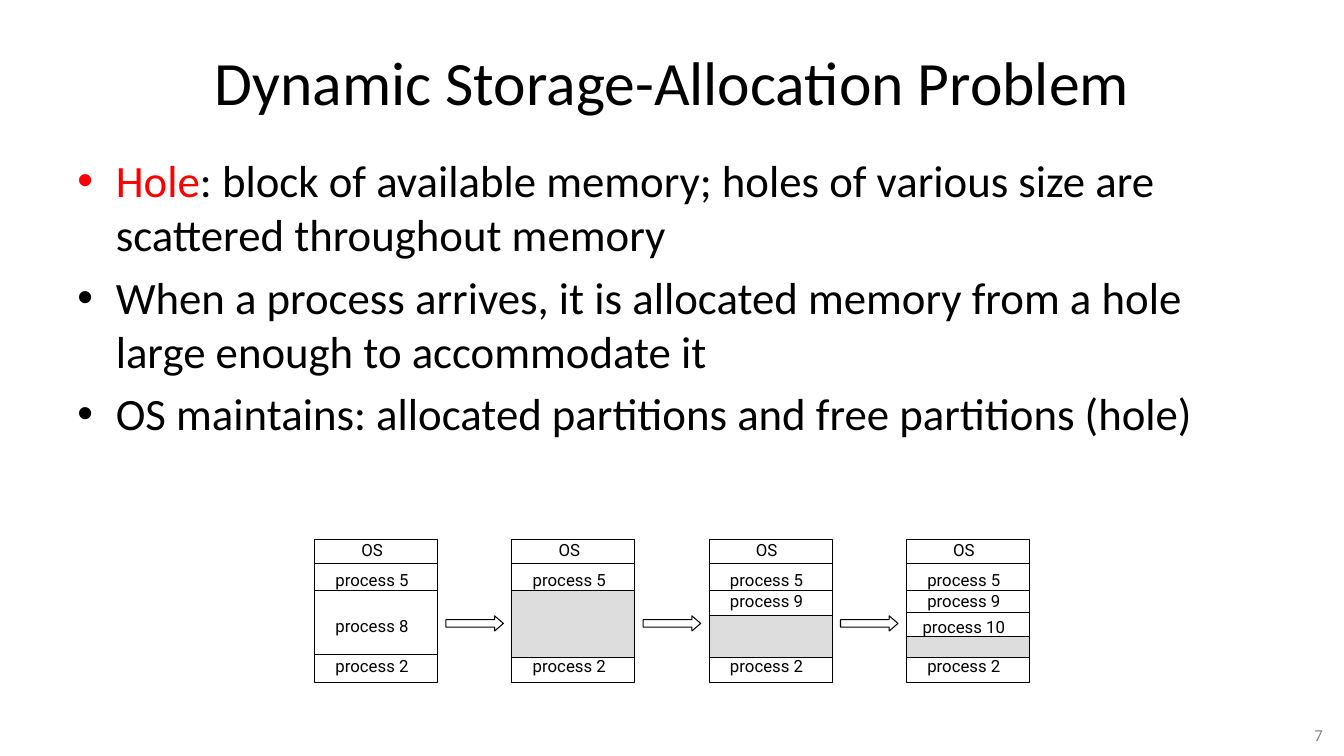
from dataclasses import dataclass

from lxml import etree
from pptx import Presentation
from pptx import util as u
from pptx.dml.color import RGBColor
from pptx.enum import shapes, text
from pptx.oxml import ns


@dataclass(frozen=True)
class Theme:
    ink: str = "000000"
    accent: str = "FF0000"
    muted: str = "898989"
    paper: str = "FFFFFF"
    hole: str = "DDDDDD"
    main_font: str = "Calibri"
    label_font: str = "Roboto"
    title_size: int = 44
    body_size: int = 32
    small_size: int = 12
    line_width: float = 0.75


THEME = Theme()

BULLETS = [
    [("Hole", THEME.accent),
     (": block of available memory; holes of various size are scattered throughout memory", THEME.ink)],
    [("When a process arrives, it is allocated memory from a hole large enough to accommodate it", THEME.ink)],
    [("OS maintains: allocated partitions and free partitions (hole)", THEME.ink)],
]

# Offsets from the top of a memory column
COLUMN_HEIGHT = 1.42
DIVIDERS = [0.24, 0.51, 1.14]
HOLE_BOTTOM = 1.17
COMMON_LABELS = [("OS", 0.1), ("process 5", 0.4), ("process 2", 1.25)]
MEMORY_STATES = [
    {"labels": [("process 8", 0.86)]},
    {"hole_top": 0.51},
    {"labels": [("process 9", 0.61)], "hole_top": 0.76},
    {"labels": [("process 9", 0.61), ("process 10", 0.87)],
     "dividers": [0.73], "hole_top": 0.96},
]


def set_values(target, values):
    for name, value in values.items():
        setattr(target, name, value)


def add_text(slide, box, paragraphs, size, font=THEME.main_font,
             align=text.PP_ALIGN.LEFT, anchor=text.MSO_ANCHOR.MIDDLE, frame_values=None):
    """Place paragraphs, each a list of (wording, colour) runs."""
    shape = slide.shapes.add_textbox(*map(u.Inches, box))
    frame = shape.text_frame
    set_values(frame, {"word_wrap": True, "vertical_anchor": anchor, **(frame_values or {})})
    for index, runs in enumerate(paragraphs):
        paragraph = frame.add_paragraph() if index else frame.paragraphs[0]
        paragraph.alignment = align
        for wording, colour in runs:
            run = paragraph.add_run()
            run.text = wording
            set_values(run.font, {"size": u.Pt(size), "name": font})
            run.font.color.rgb = RGBColor.from_string(colour)
    return frame


def add_block(slide, kind, box, colour):
    shape = slide.shapes.add_shape(kind, *map(u.Inches, box))
    shape.shadow.inherit = False
    shape.fill.solid()
    shape.fill.fore_color.rgb = RGBColor.from_string(colour)
    shape.line.color.rgb = RGBColor.from_string(THEME.ink)
    shape.line.width = u.Pt(THEME.line_width)
    return shape


def add_divider(slide, left, top, width):
    line = slide.shapes.add_connector(
        shapes.MSO_CONNECTOR.STRAIGHT, *map(u.Inches, (left, top, left + width, top)))
    line.line.color.rgb = RGBColor.from_string(THEME.ink)
    line.line.width = u.Pt(THEME.line_width)
    etree.SubElement(line._element.spPr, ns.qn("a:effectLst"))


def add_title(slide, box):
    add_text(slide, box, [[("Dynamic Storage-Allocation Problem", THEME.ink)]],
             THEME.title_size, align=text.PP_ALIGN.CENTER)


def add_bullets(slide, box):
    frame = add_text(slide, box, BULLETS, THEME.body_size, anchor=text.MSO_ANCHOR.TOP)
    indent = u.Inches(0.38)
    for index, paragraph in enumerate(frame.paragraphs):
        paragraph.space_before = u.Pt(0.2 * THEME.body_size if index else 0)
        properties = paragraph._p.get_or_add_pPr()
        properties.set("marL", str(indent))
        properties.set("indent", str(-indent))
        etree.SubElement(properties, ns.qn("a:buFont"), typeface="Arial")
        etree.SubElement(properties, ns.qn("a:buChar"), char="•")


def add_memory_column(slide, box, state):
    left, top, width, height = box
    add_block(slide, shapes.MSO_SHAPE.RECTANGLE, box, THEME.paper)
    for offset in DIVIDERS + state.get("dividers", []):
        add_divider(slide, left, top + offset, width)
    if "hole_top" in state:
        hole_top = state["hole_top"]
        add_block(slide, shapes.MSO_SHAPE.RECTANGLE,
                  (left, top + hole_top, width, HOLE_BOTTOM - hole_top), THEME.hole)
    # Labels are centred on their offsets, slightly left of the column's middle
    label_height = 0.25
    for wording, offset in COMMON_LABELS + state.get("labels", []):
        add_text(slide, (left, top + offset - label_height / 2, width - 0.08, label_height),
                 [[(wording, THEME.ink)]], THEME.small_size, THEME.label_font,
                 text.PP_ALIGN.CENTER, frame_values={"margin_top": 0, "margin_bottom": 0})


def add_memory_sequence(slide, box):
    left, top, width, height = box
    column_width, arrow_width, arrow_height = 1.22, 0.57, 0.15
    pitch = (width - column_width) / (len(MEMORY_STATES) - 1)
    for index, state in enumerate(MEMORY_STATES):
        column_left = left + index * pitch
        add_memory_column(slide, (column_left, top, column_width, height), state)
        if index:
            gap = pitch - column_width
            arrow_left = column_left - (gap + arrow_width) / 2
            arrow = add_block(slide, shapes.MSO_SHAPE.RIGHT_ARROW,
                              (arrow_left, top + 0.76, arrow_width, arrow_height), THEME.paper)
            arrow.adjustments[0] = 0.5
            arrow.adjustments[1] = 0.58


def add_page_number(slide, box):
    add_text(slide, box, [[("7", THEME.muted)]], THEME.small_size, align=text.PP_ALIGN.RIGHT)


def main():
    presentation = Presentation()
    set_values(presentation, {"slide_width": u.Inches(13.33), "slide_height": u.Inches(7.5)})
    slide = presentation.slides.add_slide(presentation.slide_layouts[6])
    add_title(slide, (0.67, 0.3, 12, 1.01))
    add_bullets(slide, (0.67, 1.47, 12, 5.51))
    add_memory_sequence(slide, (3.12, 5.35, 7.09, COLUMN_HEIGHT))
    add_page_number(slide, (11.79, 7.14, 1.43, 0.29))
    presentation.save("out.pptx")


if __name__ == "__main__":
    main()
